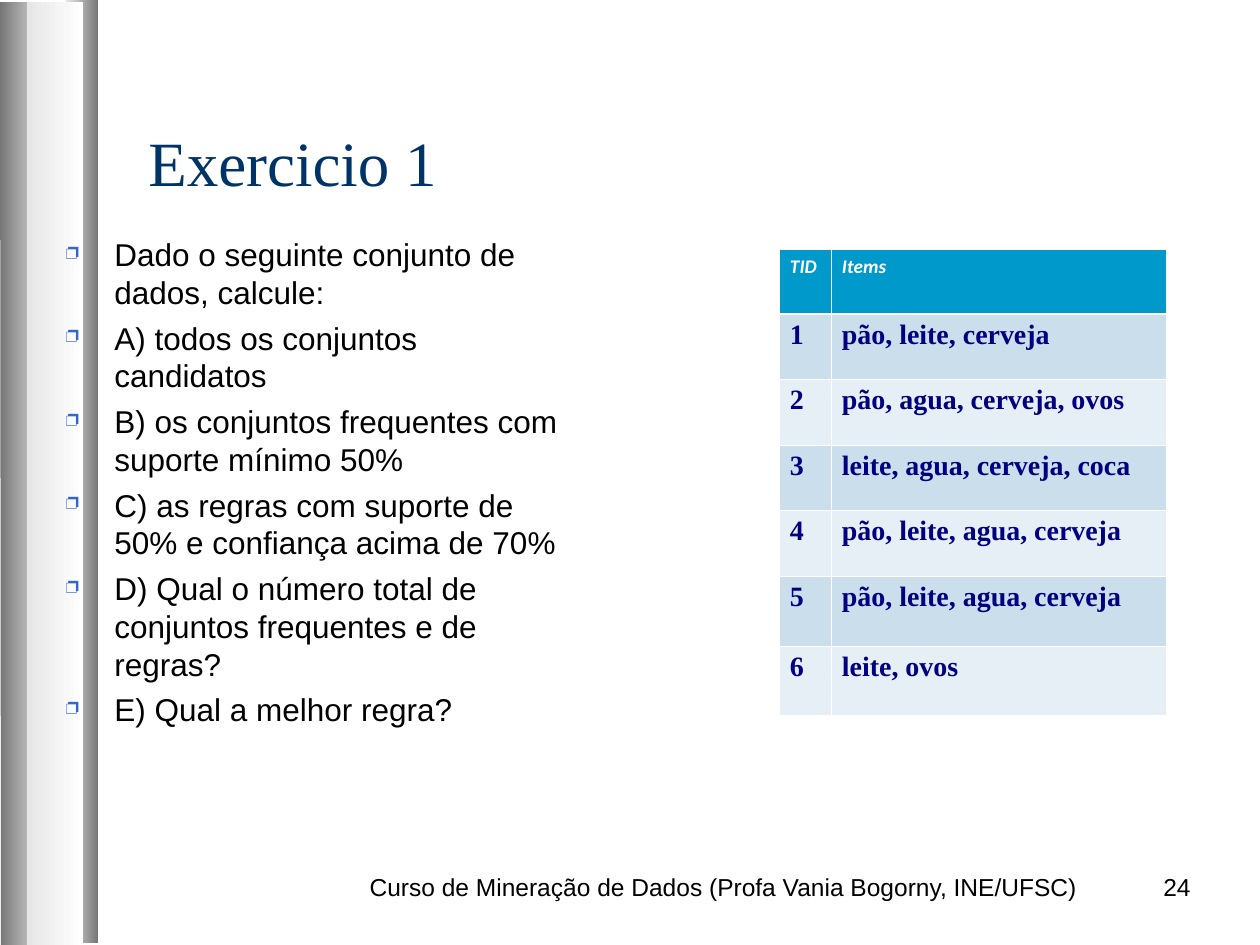
from dataclasses import dataclass

from lxml.etree import SubElement
from pptx import Presentation
from pptx.dml.color import RGBColor as Rgb
from pptx.enum.shapes import MSO_SHAPE as Preset
from pptx.enum.text import MSO_ANCHOR as Anchor, PP_ALIGN as Align
from pptx.oxml.ns import qn
from pptx.util import Emu, Pt

SCALE = 914400 / 126


def px(length):
    return Emu(round(length * SCALE))


@dataclass(frozen=True)
class Font:
    face: str
    size: int
    color: str
    bold: bool = False
    italic: bool = False


@dataclass(frozen=True)
class Theme:
    title: Font = Font("Times New Roman", 36, "003366")
    body: Font = Font("Arial", 18, "000000")
    footer: Font = Font("Arial", 14, "000000")
    header: Font = Font("Calibri", 11, "FFFFFF", True, True)
    item: Font = Font("Times New Roman", 16, "000080", True)
    bullet: str = "3366CC"
    header_fill: str = "0099CC"
    bands: tuple = ("CBDEEC", "E7EFF6")
    white: str = "FFFFFF"
    pale: str = "E6E6E6"
    gray: str = "767676"
    thin: float = 0.45
    thick: float = 1.47


def curve(start, first, second, end, steps=24):
    points = []
    for step in range(1, steps + 1):
        t = step / steps
        weights = ((1 - t) ** 3, 3 * t * (1 - t) ** 2, 3 * t * t * (1 - t), t ** 3)
        corners = (start, first, second, end)
        points.append(tuple(
            sum(w * corner[axis] for w, corner in zip(weights, corners))
            for axis in (0, 1)
        ))
    return points


class SlideMaker:
    def __init__(self, page, theme):
        self.page = page
        self.theme = theme

    def shade(self, shape, left_color, right_color):
        shape.shadow.inherit = False
        shape.line.fill.background()
        shape.fill.gradient()
        shape.fill.gradient_angle = 0
        for stop, color in zip(shape.fill.gradient_stops, (left_color, right_color)):
            stop.color.rgb = Rgb.from_string(color)

    def ribbon(self, start, points, left_color, right_color):
        builder = self.page.shapes.build_freeform(*start, scale=SCALE)
        builder.add_line_segments(points, close=True)
        self.shade(builder.convert_to_shape(), left_color, right_color)

    def bar(self, left, top, width, height, left_color, right_color):
        area = map(px, (left, top, width, height))
        shape = self.page.shapes.add_shape(Preset.RECTANGLE, *area)
        self.shade(shape, left_color, right_color)

    def add_span(self, para, text, font):
        span = para.add_run()
        span.text = text
        span.font.name = font.face
        span.font.size = Pt(font.size)
        span.font.bold = font.bold
        span.font.italic = font.italic
        span.font.color.rgb = Rgb.from_string(font.color)

    def text(self, left, top, width, height, text, font,
             align=Align.LEFT, anchor=Anchor.TOP):
        box = self.page.shapes.add_textbox(*map(px, (left, top, width, height)))
        frame = box.text_frame
        frame.word_wrap = True
        frame.vertical_anchor = anchor
        para = frame.paragraphs[0]
        para.alignment = align
        self.add_span(para, text, font)

    def bullets(self, left, top, width, height, lines, indent=48):
        box = self.page.shapes.add_textbox(*map(px, (left, top, width, height)))
        frame = box.text_frame
        frame.word_wrap = True
        for index, line in enumerate(lines):
            para = frame.add_paragraph() if index else frame.paragraphs[0]
            props = para._p.get_or_add_pPr()
            props.set("marL", str(px(indent)))
            props.set("indent", str(-px(indent)))
            color = SubElement(props, qn("a:buClr"))
            SubElement(color, qn("a:srgbClr"), val=self.theme.bullet)
            SubElement(props, qn("a:buSzPct"), val="70000")
            SubElement(props, qn("a:buChar"), char="❐")
            if index:
                para.space_before = Pt(4.5)
            self.add_span(para, line, self.theme.body)

    def border(self, cell, row):
        props = cell._tc.get_or_add_tcPr()
        thick_side = {0: "B", 1: "T"}.get(row)
        for side in "LRTB":
            weight = self.theme.thick if side == thick_side else self.theme.thin
            line = SubElement(props, qn(f"a:ln{side}"), w=str(Pt(weight)))
            fill = SubElement(line, qn("a:solidFill"))
            SubElement(fill, qn("a:srgbClr"), val=self.theme.white)

    def table(self, left, top, widths, heights, rows):
        area = map(px, (left, top, sum(widths), sum(heights)))
        grid = self.page.shapes.add_table(len(rows), len(widths), *area).table
        for column, width in zip(grid.columns, widths):
            column.width = px(width)
        for index, (row, height, values) in enumerate(zip(grid.rows, heights, rows)):
            row.height = px(height)
            font = self.theme.item if index else self.theme.header
            fill = self.theme.bands[(index - 1) % 2] if index else self.theme.header_fill
            for cell, value in zip(row.cells, values):
                cell.margin_left = cell.margin_right = px(11)
                cell.margin_top = cell.margin_bottom = px(6)
                self.border(cell, index)
                cell.fill.solid()
                cell.fill.fore_color.rgb = Rgb.from_string(fill)
                self.add_span(cell.text_frame.paragraphs[0], value, font)


def main():
    deck = Presentation()
    deck.slide_width, deck.slide_height = px(1260), px(945)
    theme = Theme()
    maker = SlideMaker(deck.slides.add_slide(deck.slide_layouts[6]), theme)

    inner = curve((66, 0), (60, 158), (93, 814), (60, 943))
    maker.ribbon((66, 0), inner + [(98, 943), (98, 0)], theme.white, theme.gray)
    outer = curve((43, 2), (83, 275), (20, 374), (40, 945))
    maker.ribbon((43, 2), outer + [(1, 945), (0, 2)], theme.gray, theme.white)
    maker.bar(27, 2, 56, 943, theme.pale, theme.white)

    maker.text(136, 106, 1071, 110, "Exercicio 1", theme.title, anchor=Anchor.MIDDLE)
    transactions = [
        "pão, leite, cerveja",
        "pão, agua, cerveja, ovos",
        "leite, agua, cerveja, coca",
        "pão, leite, agua, cerveja",
        "pão, leite, agua, cerveja",
        "leite, ovos",
    ]
    rows = [("TID", "Items")]
    rows += [(str(tid), items) for tid, items in enumerate(transactions, 1)]
    maker.table(779, 249, [52, 335], [65, 65, 66, 65, 66, 70, 69], rows)
    maker.bullets(54, 229, 536, 630, [
        "Dado o seguinte conjunto de dados, calcule:",
        "A) todos os conjuntos candidatos",
        "B) os conjuntos frequentes com suporte mínimo 50%",
        "C) as regras com suporte de 50% e confiança acima de 70%",
        "D) Qual o número total de conjuntos frequentes e de regras?",
        "E) Qual a melhor regra?",
    ])
    maker.text(941, 866, 262, 63, "24", theme.footer, Align.RIGHT)
    maker.text(314, 866, 819, 63,
               "Curso de Mineração de Dados (Profa Vania Bogorny, INE/UFSC)",
               theme.footer, Align.CENTER)
    deck.save("out.pptx")


if __name__ == "__main__":
    main()
